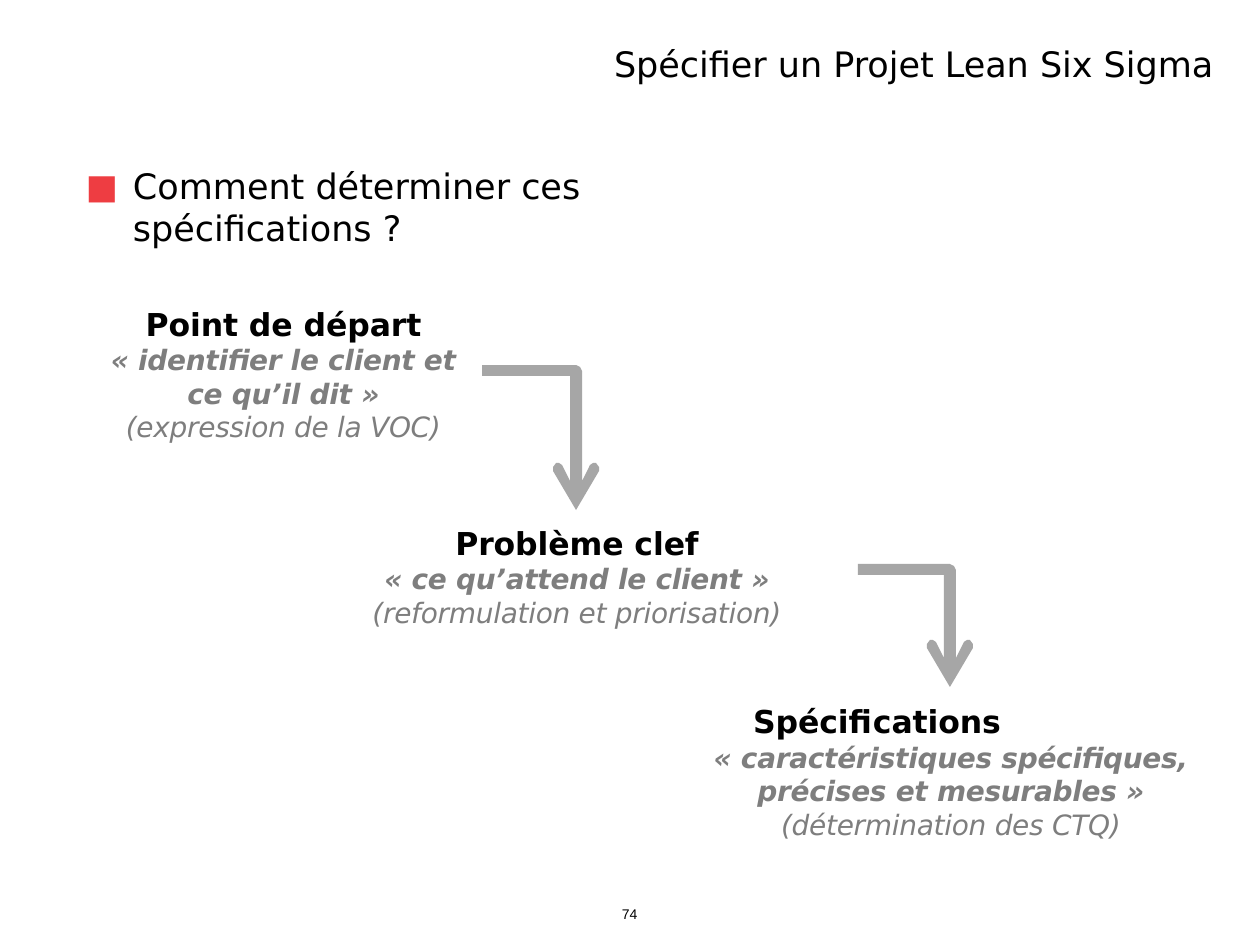
from lxml.etree import SubElement
from pptx import Presentation
from pptx.dml.color import RGBColor
from pptx.enum.text import MSO_ANCHOR, MSO_AUTO_SIZE, PP_ALIGN
from pptx.oxml.ns import qn
from pptx.util import Pt

SCALE = 914400 / 126
FONT = "DejaVu Sans"
BLACK, GREY, SILVER, RED = "000000", "7E7E7E", "A6A6A6", "EE3D42"


def px(n):
    return round(n * SCALE)


def color(code):
    return RGBColor.from_string(code)


def place(shape, left, top, width, height):
    """Move a text shape and clear its insets; return its text frame."""
    shape.left, shape.top = px(left), px(top)
    shape.width, shape.height = px(width), px(height)
    frame = shape.text_frame
    frame.margin_left = frame.margin_right = 0
    frame.margin_top = frame.margin_bottom = 0
    frame.word_wrap = True
    frame.vertical_anchor = MSO_ANCHOR.TOP
    frame.auto_size = MSO_AUTO_SIZE.SHAPE_TO_FIT_TEXT
    return frame


def indent(para, left, right=0, first=0):
    props = para._p.get_or_add_pPr()
    for key, val in (("marL", left), ("marR", right), ("indent", first)):
        props.set(key, str(px(val)))


def bullet(para, char, code):
    props = para._p.get_or_add_pPr()
    fill = SubElement(props, qn("a:buClr"))
    SubElement(fill, qn("a:srgbClr"), val=code)
    SubElement(props, qn("a:buSzPct"), val="150000")
    SubElement(props, qn("a:buFont"), typeface=FONT)
    SubElement(props, qn("a:buChar"), char=char)


def add_run(para, text, size, code=BLACK, bold=False, italic=False,
            face=FONT, track=0):
    """Add one run; track is letter spacing in hundredths of a point."""
    run = para.add_run()
    run.text = text
    font = run.font
    font.name, font.size = face, Pt(size)
    font.bold, font.italic = bold, italic
    font.color.rgb = color(code)
    if track:
        run._r.get_or_add_rPr().set("spc", str(track))


def add_title(slide):
    para = place(slide.shapes.title, 37, 42, 1188, 39).paragraphs[0]
    para.alignment = PP_ALIGN.LEFT
    para.line_spacing = 1.0
    indent(para, 577)
    add_run(para, "Spécifier un Projet Lean Six Sigma", 20, track=-3)


def add_list(slide):
    para = place(slide.placeholders[1], 84, 164, 775, 55).paragraphs[0]
    indent(para, 49, first=-48)
    bullet(para, "▪", RED)
    para.space_before = Pt(0)
    add_run(para, "Comment déterminer ces spécifications ?", 20, track=-3)


def add_steps(slide):
    """Write the three steps, each set further right by its margins."""
    box = slide.shapes.add_textbox(0, 0, 0, 0)
    frame = place(box, 105, 305, 1088, 528)
    steps = [
        # gap, head margins, detail margins, head, details
        (0, (0, 731), (0, 731), "Point de départ",
         ["« identifier le client et", "ce qu’il dit »"],
         "(expression de la VOC)"),
        (46, (0, 144), (0, 144), "Problème clef",
         ["« ce qu’attend le client »"], "(reformulation et priorisation)"),
        (42, (602, 146), (604, 0), "Spécifications",
         ["« caractéristiques spécifiques,", "précises et mesurables »"],
         "(détermination des CTQ)"),
    ]
    first = True
    for gap, outer, inner, head, quotes, note in steps:
        lines = [(head, 18, BLACK, True, False, outer)]
        lines += [(text, 16, GREY, True, True, inner) for text in quotes]
        lines.append((note, 16, GREY, False, True, inner))
        for row, (text, size, code, bold, slant, sides) in enumerate(lines):
            para = frame.paragraphs[0] if first else frame.add_paragraph()
            first = False
            para.alignment = PP_ALIGN.CENTER
            para.line_spacing = Pt(size * 1.2)
            para.space_before = Pt(0 if row else gap)
            indent(para, *sides)
            add_run(para, text, size, code, bold, slant, track=-14 if row else -6)


def add_arrow(slide, left, top, tip, end):
    """Draw a bent arrow from (left, top) down to (tip, end)."""
    wing = [(6, -29), (14, -45), (17, -47), (20, -47), (23, -43), (23, -39)]
    points = [(tip, top), (tip + 4, top + 2), (tip + 6, top + 6)]
    points += [(tip + x, end + y) for x, y in wing]
    points.append((tip, end))
    points += [(tip - x, end + y) for x, y in reversed(wing)]
    points += [(tip - 6, top + 11), (left, top + 11)]
    path = slide.shapes.build_freeform(left, top, scale=SCALE)
    path.add_line_segments(points, close=True)
    shape = path.convert_to_shape()
    shape.shadow.inherit = False
    shape.fill.solid()
    shape.fill.fore_color.rgb = color(SILVER)
    shape.line.fill.background()


def add_number(slide):
    box = slide.shapes.add_textbox(0, 0, 0, 0)
    para = place(box, 619, 905, 23, 18).paragraphs[0]
    indent(para, 3)
    add_run(para, "74", 8, face="Arial")


def main():
    deck = Presentation()
    deck.slide_width, deck.slide_height = px(1260), px(945)
    slide = deck.slides.add_slide(deck.slide_layouts[1])
    add_list(slide)
    add_title(slide)
    add_steps(slide)
    add_arrow(slide, 482, 365, 576, 510)
    add_arrow(slide, 858, 564, 950, 687)
    add_number(slide)
    deck.save("out.pptx")


if __name__ == "__main__":
    main()
